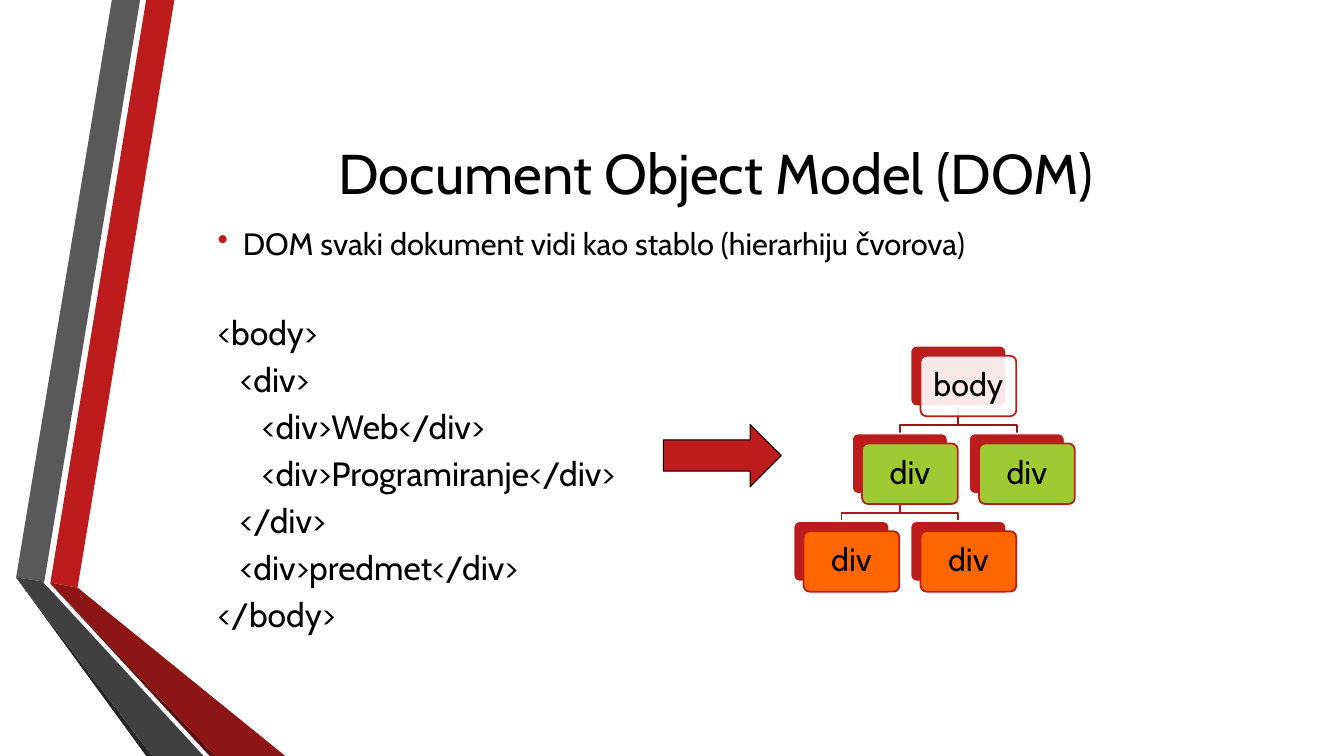
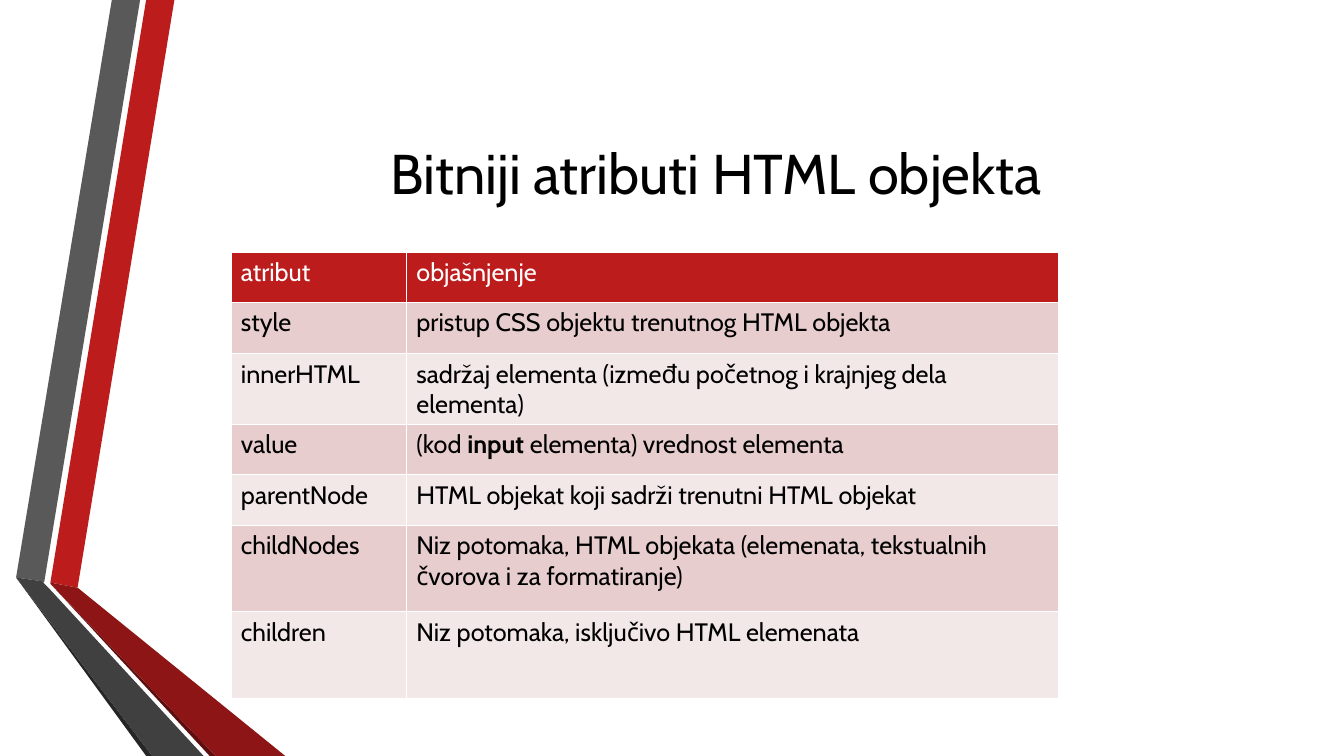
from lxml import etree
from pptx import Presentation
from pptx.dml.color import RGBColor
from pptx.enum.shapes import MSO_SHAPE
from pptx.enum.text import MSO_ANCHOR, PP_ALIGN
from pptx.oxml.ns import qn
from pptx.util import Inches, Pt

ROUNDED = MSO_SHAPE.ROUNDED_RECTANGLE
RIGHT_ARROW = MSO_SHAPE.RIGHT_ARROW
MIDDLE = MSO_ANCHOR.MIDDLE
CENTER = PP_ALIGN.CENTER


class Theme:
    font = "Cabin"
    black = RGBColor.from_string("000000")
    white = RGBColor.from_string("FFFFFF")
    red = RGBColor.from_string("BC1C1C")
    red_shade = RGBColor.from_string("8D1515")
    red_edge = RGBColor.from_string("5E0E0E")
    gray = RGBColor.from_string("595959")
    gray_shade = RGBColor.from_string("404040")
    gray_edge = RGBColor.from_string("262626")
    green = RGBColor.from_string("9ECB33")
    orange = RGBColor.from_string("FF6600")
    branch_colors = (RGBColor.from_string("971616"), RGBColor.from_string("AB1919"))
    row_fills = (RGBColor.from_string("E7CDCD"), RGBColor.from_string("F3E8E8"))
    title_size = Pt(40)
    bullet_size = Pt(22)
    code_size = Pt(24)
    node_size = Pt(23)
    table_size = Pt(18)
    outline = Pt(1.25)


BANDS = [
    (Theme.red, [(0.5, 5.78), (0.77, 5.83), (1.73, 0), (1.45, 0)]),
    (Theme.gray, [(1.39, 0), (1.11, 0), (0.16, 5.73), (0.44, 5.77)]),
    (Theme.gray_edge, [(0.16, 5.73), (1.45, 7.5), (1.51, 7.5)]),
    (Theme.red_edge, [(0.5, 5.79), (2.08, 7.5), (2.14, 7.5)]),
    (Theme.red_shade, [(0.5, 5.79), (2.14, 7.5), (2.83, 7.5), (0.77, 5.83), (0.5, 5.78)]),
    (Theme.gray_shade, [(2.02, 7.5), (0.48, 5.83), (0.43, 5.78), (0.44, 5.77),
                        (0.16, 5.73), (1.51, 7.5)]),
]
TITLES = ["Document Object Model (DOM)", "Bitniji atributi HTML objekta"]


def style_runs(paragraph, size, color=Theme.black):
    for run in paragraph.runs:
        run.font.name = Theme.font
        run.font.size = size
        run.font.color.rgb = color


def add_outline(slide, points, close):
    """Draw a freeform through points given in inches."""
    corners = [(Inches(x), Inches(y)) for x, y in points]
    builder = slide.shapes.build_freeform(*corners[0])
    builder.add_line_segments(corners[1:], close=close)
    shape = builder.convert_to_shape()
    shape.shadow.inherit = False
    return shape


presentation = Presentation()
presentation.slide_width = Inches(13.33)
presentation.slide_height = Inches(7.5)

# Shared frame: bands and title
slides = []
for title in TITLES:
    slide = presentation.slides.add_slide(presentation.slide_layouts[6])
    slides.append(slide)
    for color, points in BANDS:
        band = add_outline(slide, points, close=True)
        band.fill.solid()
        band.fill.fore_color.rgb = color
        band.line.fill.background()
    title_box = slide.shapes.add_textbox(
        Inches(1.62), Inches(0.75), Inches(10.96), Inches(1.92))
    title_frame = title_box.text_frame
    title_frame.word_wrap = True
    title_frame.vertical_anchor = MIDDLE
    title_frame.text = title
    title_frame.paragraphs[0].alignment = CENTER
    style_runs(title_frame.paragraphs[0], Theme.title_size)
dom_slide, attribute_slide = slides

# Slide 1: bullet and code listing
CODE_LINES = [
    (0, "<body>"),
    (1, "<div>"),
    (2, "<div>Web</div>"),
    (2, "<div>Programiranje</div>"),
    (1, "</div>"),
    (1, "<div>predmet</div>"),
    (0, "</body>"),
]
body_box = dom_slide.shapes.add_textbox(
    Inches(1.93), Inches(2.18), Inches(8.33), Inches(4.68))
body_frame = body_box.text_frame
body_frame.word_wrap = True
body_frame.text = "DOM svaki dokument vidi kao stablo (hierarhiju čvorova)"
bullet = body_frame.paragraphs[0]
style_runs(bullet, Theme.bullet_size)
bullet_properties = bullet._p.get_or_add_pPr()
bullet_properties.set("marL", str(Inches(0.38)))
bullet_properties.set("indent", str(Inches(-0.25)))
bullet_color = etree.SubElement(bullet_properties, qn("a:buClr"))
etree.SubElement(bullet_color, qn("a:srgbClr"), val=str(Theme.red))
etree.SubElement(bullet_properties, qn("a:buChar"), char="•")

for index, (depth, code) in enumerate(CODE_LINES):
    paragraph = body_frame.add_paragraph()
    paragraph.text = code
    paragraph.space_before = Pt(4.8 if index else 36)
    paragraph._p.get_or_add_pPr().set("marL", str(Inches(0.13 + 0.22 * depth)))
    style_runs(paragraph, Theme.code_size)

# Slide 1: node tree; column and level place a node, parent is an index
NODES = [
    ("body", 2, 0, Theme.white, None),
    ("div", 1, 1, Theme.green, 0),
    ("div", 3, 1, Theme.green, 0),
    ("div", 0, 2, Theme.orange, 1),
    ("div", 2, 2, Theme.orange, 1),
]
TREE_LEFT, TREE_TOP = 7.87, 3.43
COLUMN_STEP, LEVEL_STEP = 0.58, 0.87
CARD_WIDTH, CARD_HEIGHT, CARD_OFFSET = 0.95, 0.6, 0.1
BEND = 0.19

corners = [(TREE_LEFT + COLUMN_STEP * column, TREE_TOP + LEVEL_STEP * level)
           for _, column, level, _, _ in NODES]
for (_, _, level, _, parent), (left, top) in zip(NODES, corners):
    if parent is None:
        continue
    parent_left, parent_top = corners[parent]
    start_x, end_x = parent_left + CARD_WIDTH / 2, left + CARD_WIDTH / 2
    start_y = parent_top + CARD_HEIGHT
    branch = add_outline(dom_slide, [
        (start_x, start_y), (start_x, start_y + BEND),
        (end_x, start_y + BEND), (end_x, top)], close=False)
    branch.fill.background()
    branch.line.color.rgb = Theme.branch_colors[level - 1]
    branch.line.width = Theme.outline

for (name, _, _, color, parent), (left, top) in zip(NODES, corners):
    for offset, fill, line in [(0, Theme.red, Theme.white),
                               (CARD_OFFSET, color, Theme.red)]:
        card = dom_slide.shapes.add_shape(
            ROUNDED, Inches(left + offset), Inches(top + offset),
            Inches(CARD_WIDTH), Inches(CARD_HEIGHT))
        card.adjustments[0] = 0.1
        card.shadow.inherit = False
        card.fill.solid()
        card.fill.fore_color.rgb = fill
        card.line.color.rgb = line
        card.line.width = Theme.outline
    # The last card drawn is the front one, which carries the label
    if parent is None:
        fill_color = card.element.spPr.find(qn("a:solidFill")).find(qn("a:srgbClr"))
        etree.SubElement(fill_color, qn("a:alpha"), val="90000")
    label_frame = card.text_frame
    label_frame.margin_left = label_frame.margin_right = 0
    label_frame.margin_top = label_frame.margin_bottom = 0
    label_frame.vertical_anchor = MIDDLE
    label_frame.text = name
    label_frame.paragraphs[0].alignment = CENTER
    label_frame.paragraphs[0].line_spacing = 0.9
    style_runs(label_frame.paragraphs[0], Theme.node_size)

arrow = dom_slide.shapes.add_shape(
    RIGHT_ARROW, Inches(6.58), Inches(4.21), Inches(1.17), Inches(0.62))
arrow.shadow.inherit = False
arrow.fill.solid()
arrow.fill.fore_color.rgb = Theme.red
arrow.line.color.rgb = Theme.black
arrow.line.width = Pt(0.75)

# Slide 2: attribute table; "*" encloses bold words
ROWS = [
    (0.5, "atribut", "objašnjenje"),
    (0.51, "style", "pristup CSS objektu trenutnog HTML objekta"),
    (0.7, "innerHTML", "sadržaj elementa (između početnog i krajnjeg dela elementa)"),
    (0.5, "value", "(kod *input* elementa) vrednost elementa"),
    (0.5, "parentNode", "HTML objekat koji sadrži trenutni HTML objekat"),
    (0.86, "childNodes",
     "Niz potomaka, HTML objekata (elemenata, tekstualnih čvorova i za formatiranje)"),
    (0.86, "children", "Niz potomaka, isključivo HTML elemenata"),
]
table = attribute_slide.shapes.add_table(
    len(ROWS), 2, Inches(2.29), Inches(2.5), Inches(8.2), Inches(4.43)).table
table.columns[0].width = Inches(1.74)
table.columns[1].width = Inches(6.47)
for row_index, (height, *texts) in enumerate(ROWS):
    table.rows[row_index].height = Inches(height)
    is_header = row_index == 0
    for column_index, text in enumerate(texts):
        cell = table.cell(row_index, column_index)
        cell_properties = cell._tc.get_or_add_tcPr()
        for side in ("a:lnL", "a:lnR", "a:lnT", "a:lnB"):
            border = etree.SubElement(cell_properties, qn(side), w=str(Pt(1)))
            border_fill = etree.SubElement(border, qn("a:solidFill"))
            etree.SubElement(border_fill, qn("a:srgbClr"), val=str(Theme.white))
        cell.fill.solid()
        cell.fill.fore_color.rgb = Theme.red if is_header else Theme.row_fills[(row_index - 1) % 2]
        paragraph = cell.text_frame.paragraphs[0]
        for part_index, part in enumerate(text.split("*")):
            run = paragraph.add_run()
            run.text = part
            run.font.bold = part_index % 2 == 1
        style_runs(paragraph, Theme.table_size, Theme.white if is_header else Theme.black)

presentation.save("out.pptx")
